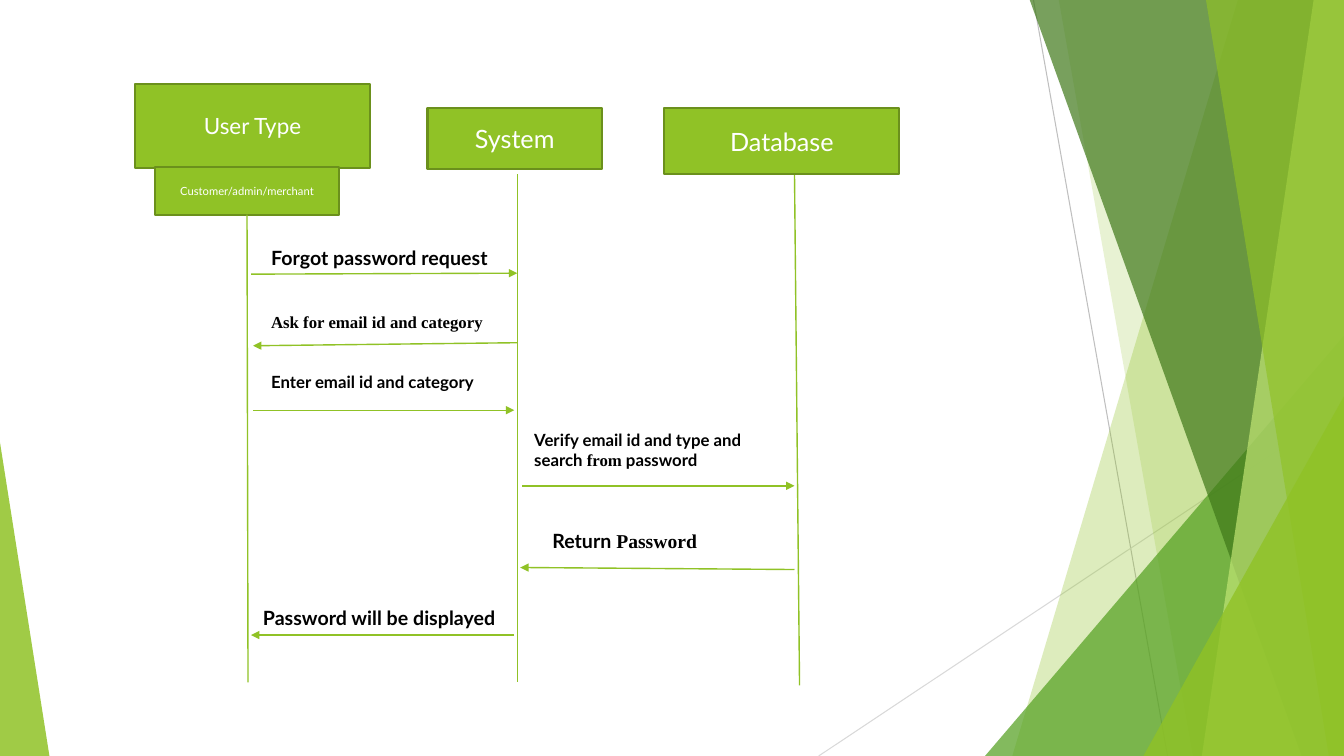
"""Build a slide with a sequence diagram for a forgotten password."""
from lxml import etree
from pptx import Presentation
from pptx.dml.color import RGBColor
from pptx.enum.shapes import MSO_CONNECTOR, MSO_SHAPE
from pptx.enum.text import MSO_ANCHOR, MSO_AUTO_SIZE, PP_ALIGN
from pptx.oxml.ns import qn
from pptx.util import Pt

PX = 9144
WIDE, HIGH = 1333, 750
BLANK = 6
BOTTOM = 2
STRAIGHT = MSO_CONNECTOR.STRAIGHT
RECT = MSO_SHAPE.RECTANGLE
TRIANGLE = MSO_SHAPE.ISOSCELES_TRIANGLE
MIDDLE = MSO_ANCHOR.MIDDLE
CENTER = PP_ALIGN.CENTER
GROW = MSO_AUTO_SIZE.SHAPE_TO_FIT_TEXT
SANS, SERIF = "Lato", "Times New Roman"
COLORS = {
    "lime": "90C226", "edge": "6B901C", "green": "54A021",
    "forest": "3F7819", "pale": "C0E474", "gray": "BFBFBF",
    "silver": "D9D9D9", "white": "FFFFFF", "black": "000000",
}


def color(name):
    return RGBColor.from_string(COLORS[name])


def scale(*sizes):
    return [size * PX for size in sizes]


def tint(shape, name, alpha):
    shape.shadow.inherit = False
    shape.fill.solid()
    shape.fill.fore_color.rgb = color(name)
    shape.line.fill.background()
    fill = shape._element.spPr.find(".//" + qn("a:srgbClr"))
    etree.SubElement(fill, qn("a:alpha")).set("val", str(alpha * 1000))


def add_sheet(shapes, top, base, name, alpha):
    form = shapes.build_freeform(top, -1, scale=PX)
    form.add_line_segments([(WIDE, -1), (WIDE, HIGH), (base, HIGH)])
    tint(form.convert_to_shape(), name, alpha)


def add_wedge(shapes, at, peak, name, alpha):
    wedge = shapes.add_shape(TRIANGLE, *scale(*at))
    wedge.adjustments[0] = peak
    tint(wedge, name, alpha)


def add_line(shapes, ends, name="lime", width=1, arrow=False):
    line = shapes.add_connector(STRAIGHT, *scale(*ends))
    line.line.color.rgb = color(name)
    line.line.width = Pt(width)
    if arrow:
        tail = etree.SubElement(line.line._get_or_add_ln(), qn("a:tailEnd"))
        tail.set("type", "triangle")
    etree.SubElement(line._element.spPr, qn("a:effectLst"))
    return line


def set_font(font, size, name):
    font.size = Pt(size)
    font.color.rgb = color(name)


def add_box(shapes, at, text, size):
    box = shapes.add_shape(RECT, *scale(*at))
    box.shadow.inherit = False
    box.fill.solid()
    box.fill.fore_color.rgb = color("lime")
    box.line.color.rgb = color("edge")
    box.line.width = Pt(1.5)
    box.text_frame.word_wrap = True
    box.text_frame.vertical_anchor = MIDDLE
    para = box.text_frame.paragraphs[0]
    para.text = text
    para.alignment = CENTER
    para.font.name = SANS
    set_font(para.font, size, "white")
    return box


def add_label(shapes, at, size, wrap, parts):
    frame = shapes.add_textbox(*scale(*at)).text_frame
    frame.word_wrap = wrap
    frame.auto_size = GROW
    para = frame.paragraphs[0]
    set_font(para.font, size, "black")
    para.font.bold = True
    for text, face in parts:
        run = para.add_run()
        run.text = text
        run.font.name = face


def add_decor(shapes):
    add_line(shapes, (1025, 0, 1158, HIGH), "gray", 0.75)
    add_line(shapes, (WIDE, 403, 812, HIGH), "silver", 0.75)
    add_sheet(shapes, 1228, 1004, "lime", 30)
    add_sheet(shapes, 1050, 1183, "lime", 20)
    add_wedge(shapes, (977, 333, 356, 417), 1, "green", 72)
    add_sheet(shapes, 1021, 1291, "forest", 70)
    add_sheet(shapes, 1303, 1192, "pale", 70)
    add_sheet(shapes, 1196, 1318, "lime", 65)
    add_wedge(shapes, (1134, 393, 199, 357), 1, "lime", 80)
    add_wedge(shapes, (0, 439, 49, 311), 0, "lime", 85)


def add_actors(shapes):
    add_line(shapes, (513, 173, 513, 677))
    add_line(shapes, (788, 172, 793, 680))
    add_box(shapes, (134, 83, 233, 84), "User Type", 16)
    add_box(shapes, (424, 107, 173, 61), "System", 18)
    add_box(shapes, (659, 107, 233, 66), "Database", 18)
    roles = add_box(shapes, (154, 166, 182, 47), "Customer/admin/merchant", 8)
    life = add_line(shapes, (245, 213, 246, 677))
    life.begin_connect(roles, BOTTOM)


def add_messages(shapes):
    messages = [
        ((249, 272, 513, 271), (259, 239, 299, 34), 14, True,
         [("Forgot password request", SANS)]),
        ((513, 340, 251, 343), (259, 304, 261, 30), 12, True,
         [("Ask for email id and category", SERIF)]),
        ((251, 407, 510, 407), (259, 364, 242, 30), 12, True,
         [("Enter email id and category", SANS)]),
        ((518, 482, 788, 482), (520, 421, 265, 50), 12, True,
         [("Verify email id and type and search ", SANS),
          ("from", SERIF), (" password", SANS)]),
        ((788, 565, 516, 563), (538, 520, 173, 34), 14, False,
         [("Return ", SANS), ("Password", SERIF)]),
        ((510, 630, 249, 630), (251, 596, 264, 34), 14, False,
         [("Password will be displayed", SANS)]),
    ]
    for ends, at, size, wrap, parts in messages:
        add_line(shapes, ends, arrow=True)
        add_label(shapes, at, size, wrap, parts)


def main():
    deck = Presentation()
    deck.slide_width, deck.slide_height = scale(WIDE, HIGH)
    shapes = deck.slides.add_slide(deck.slide_layouts[BLANK]).shapes
    add_decor(shapes)
    add_actors(shapes)
    add_messages(shapes)
    deck.save("out.pptx")


if __name__ == "__main__":
    main()
